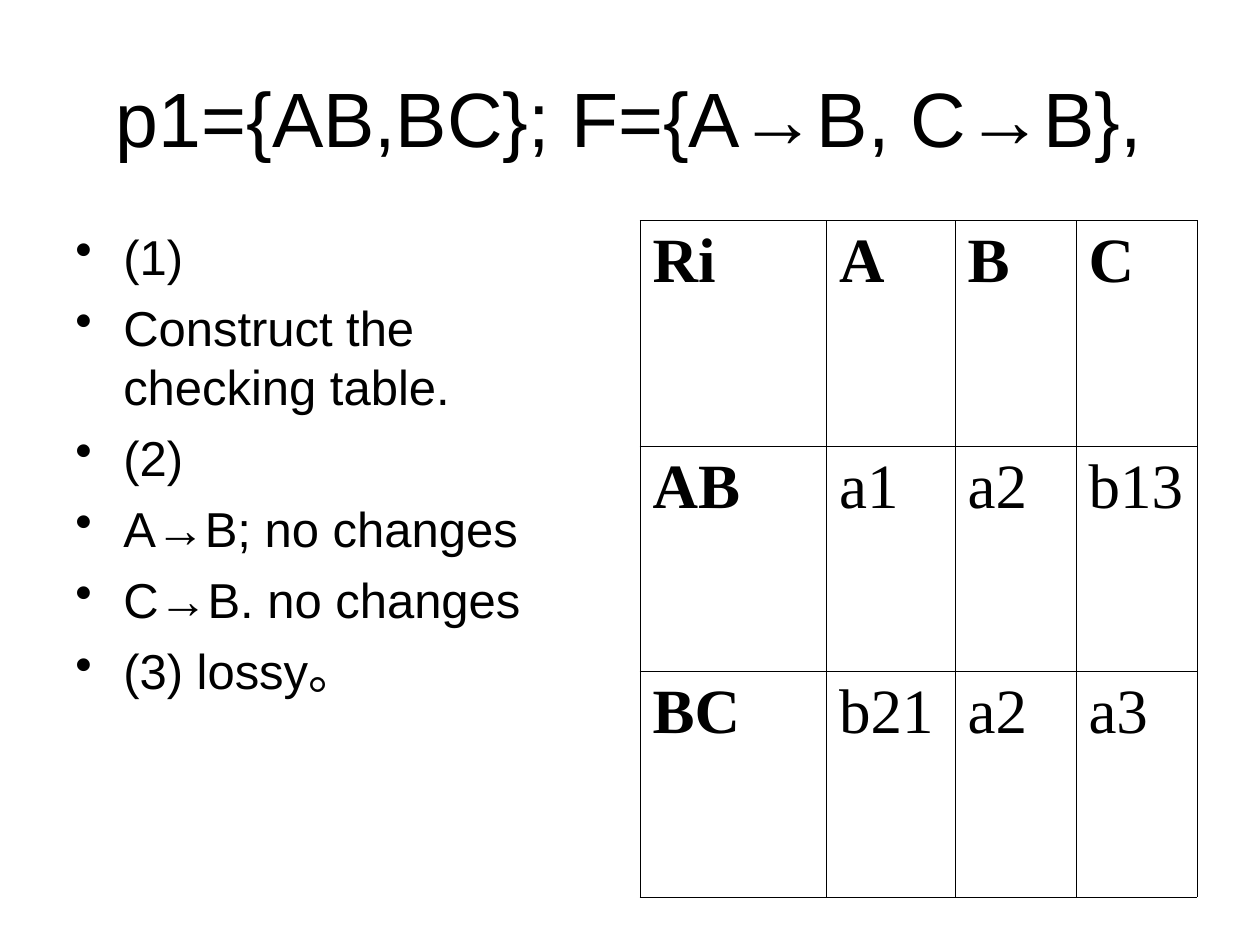
from lxml import etree
from pptx import Presentation
from pptx import util as u
from pptx.dml.color import RGBColor
from pptx.enum import text
from pptx.oxml.ns import qn

TITLE = "p1={AB,BC}; F={A→B, C→B},"
STEPS = [
    "(1)",
    "Construct the checking table.",
    "(2)",
    "A→B; no changes",
    "C→B. no changes",
    "(3) lossy。",
]
CHECKING_TABLE = [
    ["Ri", "A", "B", "C"],
    ["AB", "a1", "a2", "b13"],
    ["BC", "b21", "a2", "a3"],
]
COLUMN_WIDTHS = [1.48, 1.02, 0.96, 0.96]
ROW_HEIGHT = 1.79
BLACK = "000000"
WIDTH, HEIGHT = 10, 7.5
MARGIN = 0.05 * WIDTH
CONTENT_TOP = 1.75
INDENT = 0.38


def color(value):
    return RGBColor.from_string(value)


def style(paragraph, size, name="Arial", bold=False):
    font = paragraph.font
    font.size, font.name, font.bold = u.Pt(size), name, bold
    font.color.rgb = color(BLACK)


def add_bullet(paragraph):
    properties = paragraph._p.get_or_add_pPr()
    properties.set("marL", str(u.Inches(INDENT)))
    properties.set("indent", str(-u.Inches(INDENT)))
    etree.SubElement(properties, qn("a:buChar"), char="•")


def add_borders(cell):
    properties = cell._tc.get_or_add_tcPr()
    for position, side in enumerate(("a:lnL", "a:lnR", "a:lnT", "a:lnB")):
        line = etree.Element(qn(side), w=str(u.Pt(0.45)))
        fill = etree.SubElement(line, qn("a:solidFill"))
        etree.SubElement(fill, qn("a:srgbClr"), val=BLACK)
        properties.insert(position, line)


def add_title(slide):
    title = slide.shapes.title
    title.left, title.top = u.Inches(MARGIN), u.Inches(0.04 * HEIGHT)
    title.width, title.height = u.Inches(WIDTH - 2 * MARGIN), u.Inches(1.25)
    frame = title.text_frame
    frame.text = TITLE
    frame.auto_size = text.MSO_AUTO_SIZE.NONE
    frame.vertical_anchor = text.MSO_ANCHOR.MIDDLE
    frame.paragraphs[0].alignment = text.PP_ALIGN.CENTER
    style(frame.paragraphs[0], 44)


def add_steps(slide):
    box = slide.shapes.add_textbox(u.Inches(MARGIN), u.Inches(CONTENT_TOP),
                                   u.Inches(sum(COLUMN_WIDTHS)), u.Inches(4.95))
    frame = box.text_frame
    frame.word_wrap = True
    frame.text = "\n".join(STEPS)
    for number, paragraph in enumerate(frame.paragraphs):
        if number:
            paragraph.space_before = u.Pt(7)
        add_bullet(paragraph)
        style(paragraph, 28)


def add_checking_table(slide):
    width = sum(COLUMN_WIDTHS)
    rows = len(CHECKING_TABLE)
    table = slide.shapes.add_table(
        rows, len(COLUMN_WIDTHS), u.Inches(WIDTH - MARGIN - width),
        u.Inches(CONTENT_TOP), u.Inches(width), u.Inches(rows * ROW_HEIGHT)).table
    for column, column_width in zip(table.columns, COLUMN_WIDTHS):
        column.width = u.Inches(column_width)
    for i, values in enumerate(CHECKING_TABLE):
        table.rows[i].height = u.Inches(ROW_HEIGHT)
        for j, value in enumerate(values):
            cell = table.cell(i, j)
            cell.text = value
            cell.fill.background()
            add_borders(cell)
            style(cell.text_frame.paragraphs[0], 36, "Times New Roman",
                  bold=i == 0 or j == 0)


def main():
    presentation = Presentation()
    presentation.slide_width = u.Inches(WIDTH)
    presentation.slide_height = u.Inches(HEIGHT)
    slide = presentation.slides.add_slide(presentation.slide_layouts[5])
    add_title(slide)
    add_steps(slide)
    add_checking_table(slide)
    presentation.save("out.pptx")


if __name__ == "__main__":
    main()
